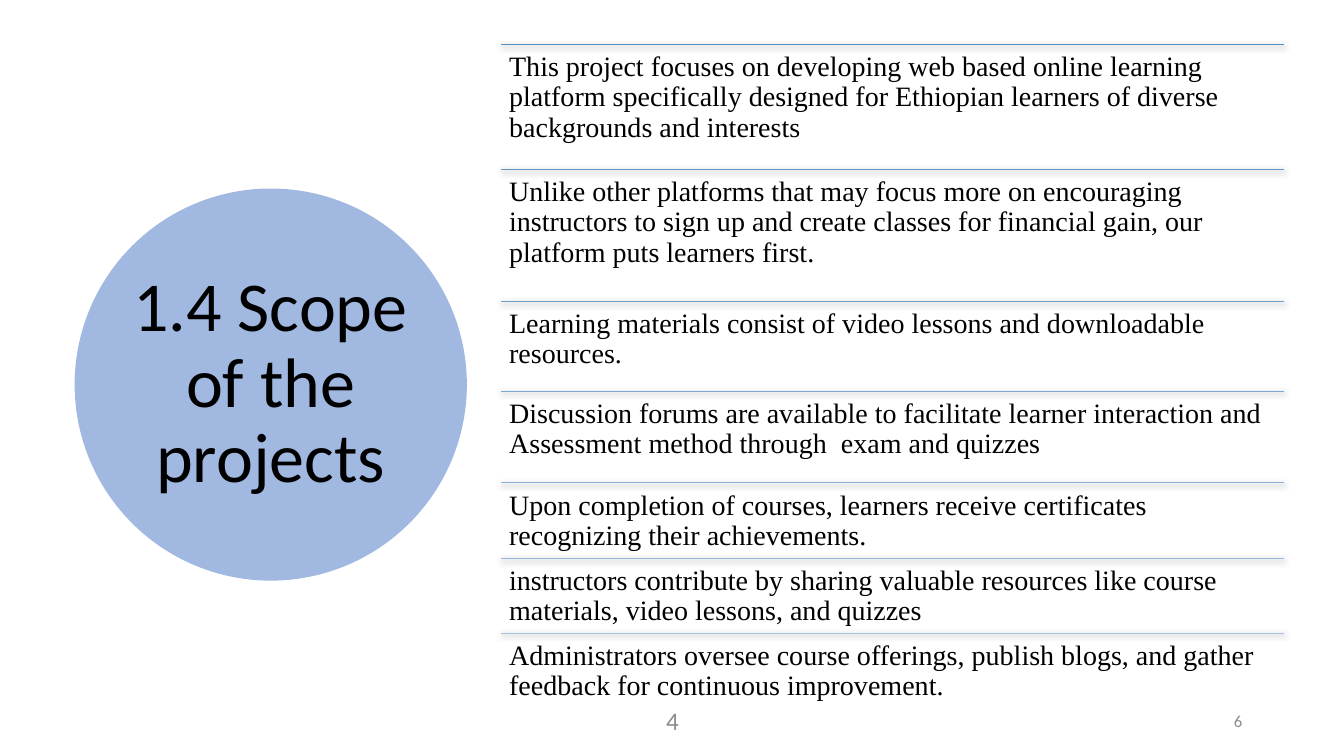
from dataclasses import dataclass

from lxml import etree
from pptx import Presentation
from pptx.dml.color import RGBColor
from pptx.enum.shapes import MSO_CONNECTOR, MSO_SHAPE
from pptx.enum.text import MSO_ANCHOR, MSO_AUTO_SIZE, PP_ALIGN
from pptx.oxml.ns import qn
from pptx.slide import Slide
from pptx.text.text import TextFrame
from pptx.util import Inches, Pt

STRAIGHT = MSO_CONNECTOR.STRAIGHT
ELLIPSE = MSO_SHAPE.OVAL
TOP, MIDDLE = MSO_ANCHOR.TOP, MSO_ANCHOR.MIDDLE
NO_AUTOFIT = MSO_AUTO_SIZE.NONE
LEFT, CENTER, RIGHT = PP_ALIGN.LEFT, PP_ALIGN.CENTER, PP_ALIGN.RIGHT


@dataclass(frozen=True)
class Theme:
    text: str = "000000"
    muted: str = "8C8C8C"
    circle: str = "4472C4"
    circle_opacity: int = 50
    first_rule: str = "538DC1"
    last_rule: str = "A5C1E3"
    heading_font: str = "Calibri"
    body_font: str = "Times New Roman"
    title_size: float = 50
    body_size: float = 20
    footer_size: float = 18
    number_size: float = 12
    rule_width: float = 0.5


@dataclass(frozen=True)
class TextStyle:
    font: str
    size: float
    color: str
    align: PP_ALIGN = LEFT
    anchor: MSO_ANCHOR = TOP
    line_spacing: float = 1.0
    inset_x: float = 0.1
    inset_y: float = 0.05


@dataclass(frozen=True)
class ScopeItem:
    text: str
    height: float


@dataclass(frozen=True)
class FooterEntry:
    text: str
    left: float
    width: float
    size: float
    align: PP_ALIGN


THEME = Theme()
TITLE_STYLE = TextStyle(THEME.heading_font, THEME.title_size, THEME.text,
                        CENTER, MIDDLE, 0.9, 0, 0)
BODY_STYLE = TextStyle(THEME.body_font, THEME.body_size, THEME.text,
                       line_spacing=0.9, inset_x=0.08, inset_y=0.08)

LIST_LEFT, LIST_TOP, LIST_WIDTH = 4.97, 0.44, 7.77
FOOTER_TOP, FOOTER_HEIGHT = 6.95, 0.4
CIRCLE_LEFT, CIRCLE_TOP, CIRCLE_SIZE = 0.74, 1.87, 3.89
TITLE_MARGIN = 0.57

SCOPE_ITEMS = [
    ScopeItem("This project focuses on developing web based online learning platform "
              "specifically designed for Ethiopian learners of diverse backgrounds "
              "and interests", 1.24),
    ScopeItem("Unlike other platforms that may focus more on encouraging instructors "
              "to sign up and create classes for financial gain, our platform puts "
              "learners first.", 1.31),
    ScopeItem("Learning materials consist of video lessons and downloadable "
              "resources.", 0.89),
    ScopeItem("Discussion forums are available to facilitate learner interaction and "
              "Assessment method through  exam and quizzes", 0.91),
    ScopeItem("Upon completion of courses, learners receive certificates recognizing "
              "their achievements.", 0.75),
    ScopeItem("instructors contribute by sharing valuable resources like course "
              "materials, video lessons, and quizzes", 0.74),
    ScopeItem("Administrators oversee course offerings, publish blogs, and gather "
              "feedback for continuous improvement.", 0.74),
]
FOOTER_ENTRIES = [
    FooterEntry("4", 4.42, 4.5, THEME.footer_size, CENTER),
    FooterEntry("6", 9.42, 3, THEME.number_size, RIGHT),
]


def write_text(frame: TextFrame, text: str, style: TextStyle) -> None:
    frame.word_wrap = True
    frame.auto_size = NO_AUTOFIT
    frame.vertical_anchor = style.anchor
    frame.margin_left = frame.margin_right = Inches(style.inset_x)
    frame.margin_top = frame.margin_bottom = Inches(style.inset_y)
    paragraph = frame.paragraphs[0]
    paragraph.alignment = style.align
    paragraph.line_spacing = style.line_spacing
    paragraph.space_before = Pt(0)
    run = paragraph.add_run()
    run.text = text
    run.font.name = style.font
    run.font.size = Pt(style.size)
    run.font.color.rgb = RGBColor.from_string(style.color)


def add_text(slide: Slide, left: float, top: float, width: float, height: float,
             text: str, style: TextStyle) -> None:
    box = slide.shapes.add_textbox(Inches(left), Inches(top),
                                   Inches(width), Inches(height))
    write_text(box.text_frame, text, style)


def add_title_circle(slide: Slide) -> None:
    circle = slide.shapes.add_shape(ELLIPSE, Inches(CIRCLE_LEFT), Inches(CIRCLE_TOP),
                                    Inches(CIRCLE_SIZE), Inches(CIRCLE_SIZE))
    circle.shadow.inherit = False
    circle.line.fill.background()
    circle.fill.solid()
    circle.fill.fore_color.rgb = RGBColor.from_string(THEME.circle)
    color = circle._element.spPr.find(qn("a:solidFill")).find(qn("a:srgbClr"))
    etree.SubElement(color, qn("a:alpha"), val=str(THEME.circle_opacity * 1000))

    title = slide.shapes.title
    title.left = Inches(CIRCLE_LEFT + TITLE_MARGIN)
    title.top = Inches(CIRCLE_TOP + TITLE_MARGIN)
    title.width = title.height = Inches(CIRCLE_SIZE - 2 * TITLE_MARGIN)
    write_text(title.text_frame, "1.4 Scope of the projects", TITLE_STYLE)
    circle._element.addnext(title._element)


def blend(start: str, end: str, share: float) -> RGBColor:
    pairs = zip(RGBColor.from_string(start), RGBColor.from_string(end))
    return RGBColor(*(int(a + (b - a) * share) for a, b in pairs))


def add_rule(slide: Slide, top: float, color: RGBColor) -> None:
    rule = slide.shapes.add_connector(STRAIGHT, Inches(LIST_LEFT), Inches(top),
                                      Inches(LIST_LEFT + LIST_WIDTH), Inches(top))
    rule.line.color.rgb = color
    rule.line.width = Pt(THEME.rule_width)
    effects = etree.SubElement(rule._element.spPr, qn("a:effectLst"))
    shadow = etree.SubElement(effects, qn("a:outerShdw"), blurRad=str(Pt(4.5)),
                              dist=str(Pt(1.5)), dir="5400000", algn="ctr",
                              rotWithShape="0")
    shade = etree.SubElement(shadow, qn("a:srgbClr"), val=THEME.text)
    etree.SubElement(shade, qn("a:alpha"), val="63000")


def add_scope_list(slide: Slide) -> None:
    top = LIST_TOP
    for index, item in enumerate(SCOPE_ITEMS):
        share = index / (len(SCOPE_ITEMS) - 1)
        add_rule(slide, top, blend(THEME.first_rule, THEME.last_rule, share))
        add_text(slide, LIST_LEFT, top, LIST_WIDTH, item.height, item.text, BODY_STYLE)
        top += item.height


def add_footer(slide: Slide) -> None:
    for entry in FOOTER_ENTRIES:
        style = TextStyle(THEME.heading_font, entry.size, THEME.muted,
                          entry.align, MIDDLE)
        add_text(slide, entry.left, FOOTER_TOP, entry.width, FOOTER_HEIGHT,
                 entry.text, style)


def main() -> None:
    deck = Presentation()
    deck.slide_width, deck.slide_height = Inches(13.33), Inches(7.5)
    slide = deck.slides.add_slide(deck.slide_layouts.get_by_name("Title Only"))
    add_title_circle(slide)
    add_scope_list(slide)
    add_footer(slide)
    deck.save("out.pptx")


if __name__ == "__main__":
    main()
